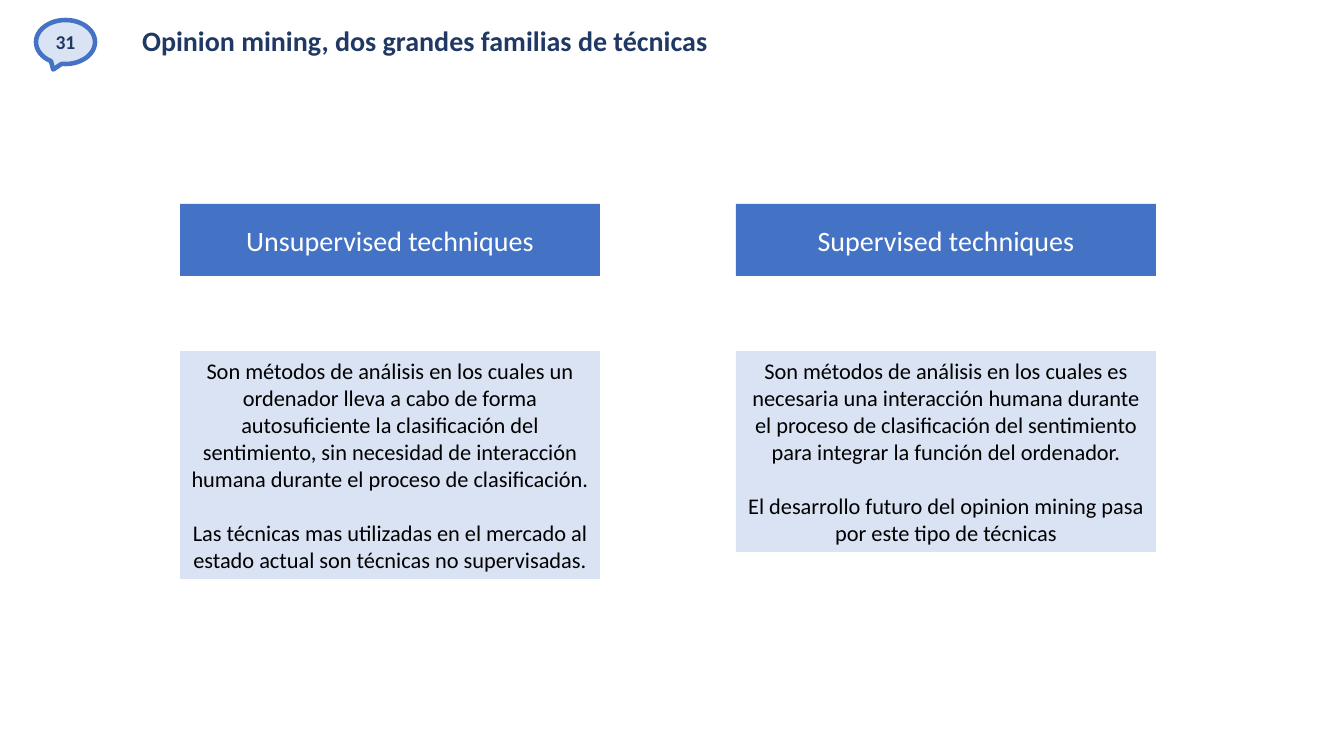
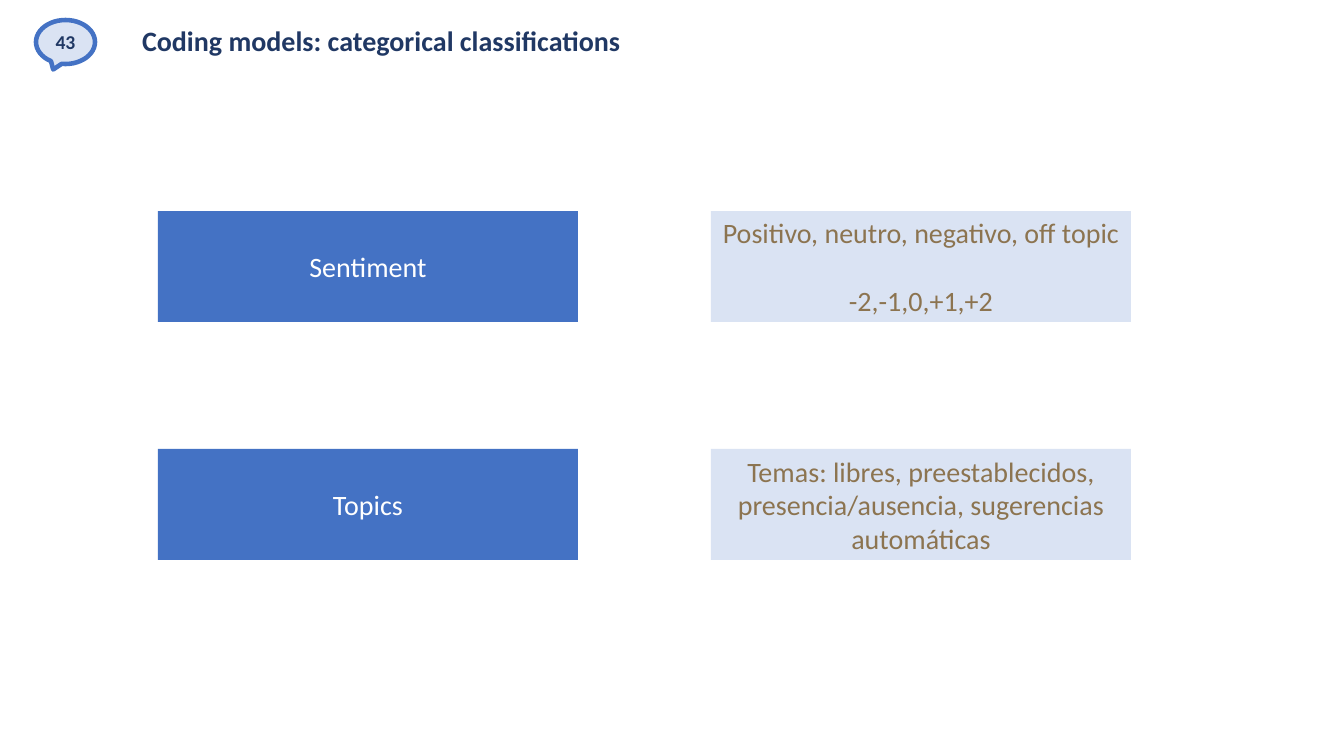
"""Builds two slides on opinion mining techniques and coding models."""
from pptx import Presentation
from pptx.dml.color import RGBColor
from pptx.enum.shapes import MSO_SHAPE as SHAPE
from pptx.enum.text import MSO_ANCHOR as ANCHOR, MSO_AUTO_SIZE as AUTO, PP_ALIGN as ALIGN
from pptx.util import Emu, Pt

PX = 914400 / 100.8
FONT = "Calibri"
COLORS = {"blue": "4472C4", "pale": "DAE3F3", "navy": "203864",
          "white": "FFFFFF", "black": "000000", "brown": "8C7450"}


def px(*lengths):
    return [Emu(round(n * PX)) for n in lengths]


def rgb(name):
    return RGBColor.from_string(COLORS[name])


def write(tf, texts, size, color, bold=False, align=ALIGN.CENTER):
    tf.word_wrap = True
    tf.vertical_anchor = ANCHOR.MIDDLE
    for i, text in enumerate(texts):
        p = tf.add_paragraph() if i else tf.paragraphs[0]
        p.alignment = align
        if i:
            p.space_before = Pt(round(size * 1.22, 1))
        r = p.add_run()
        r.text = text
        r.font.name, r.font.size, r.font.bold = FONT, Pt(size), bold
        r.font.color.rgb = rgb(color)


def add_shape(s, kind, box, fill, line=None):
    sp = s.shapes.add_shape(kind, *px(*box))
    sp.shadow.inherit = False
    sp.fill.solid()
    sp.fill.fore_color.rgb = rgb(fill)
    if line:
        sp.line.color.rgb = rgb(line)
        sp.line.width = Pt(3.25)
    else:
        sp.line.fill.background()
    return sp


def add_box(s, box, texts, size, fill, color, grow=False):
    tf = add_shape(s, SHAPE.RECTANGLE, box, fill).text_frame
    write(tf, texts, size, color)
    if grow:
        tf.auto_size = AUTO.SHAPE_TO_FIT_TEXT


def add_slide(prs, number, title):
    s = prs.slides.add_slide(prs.slide_layouts.get_by_name("Title Only"))
    add_shape(s, SHAPE.OVAL_CALLOUT, (36, 20, 59, 44), "pale", "blue")
    sp = s.shapes.title
    sp.left, sp.top, sp.width, sp.height = px(132, 22, 1086, 42)
    tf = sp.text_frame
    tf.auto_size = AUTO.NONE
    write(tf, [title], 20, "navy", True, ALIGN.LEFT)
    tf.paragraphs[0].line_spacing = 0.85
    badge = s.shapes.add_textbox(*px(24, 17, 83, 50))
    write(badge.text_frame, [str(number)], 14, "navy", True)
    return s


def add_column(s, x, y, w, heading, texts, body_h):
    add_box(s, (x, y, w, 72), [heading], 20, "blue", "white")
    add_box(s, (x, y + 147, w, body_h), texts, 16, "pale", "black", True)


def add_row(s, x, y, w, h, label, texts):
    add_box(s, (x, y, w, h), [label], 20, "blue", "white")
    add_box(s, (x + 553, y, w, h), texts, 20, "pale", "brown")


def techniques_slide(prs):
    s = add_slide(prs, 31, "Opinion mining, dos grandes familias de técnicas")
    columns = [
        ("Unsupervised techniques", [
            "Son métodos de análisis en los cuales un ordenador lleva a cabo de forma "
            "autosuficiente la clasificación del sentimiento, sin necesidad de "
            "interacción humana durante el proceso de clasificación.",
            "Las técnicas mas utilizadas en el mercado al estado actual son técnicas "
            "no supervisadas."], 228),
        ("Supervised techniques", [
            "Son métodos de análisis en los cuales es necesaria una interacción humana "
            "durante el proceso de clasificación del sentimiento para integrar la "
            "función del ordenador.",
            "El desarrollo futuro del opinion mining pasa por este tipo de técnicas"], 201),
    ]
    for i, column in enumerate(columns):
        add_column(s, 180 + 556 * i, 204, 420, *column)


def models_slide(prs):
    s = add_slide(prs, 43, "Coding models: categorical classifications")
    rows = [
        ("Sentiment", ["Positivo, neutro, negativo, off topic", "-2,-1,0,+1,+2"]),
        ("Topics", ["Temas: libres, preestablecidos, presencia/ausencia, "
                    "sugerencias automáticas"]),
    ]
    for i, row in enumerate(rows):
        add_row(s, 158, 211 + 238 * i, 420, 111, *row)


def main():
    prs = Presentation()
    prs.slide_width, prs.slide_height = px(1344, 756)
    techniques_slide(prs)
    models_slide(prs)
    prs.save("out.pptx")


if __name__ == "__main__":
    main()
